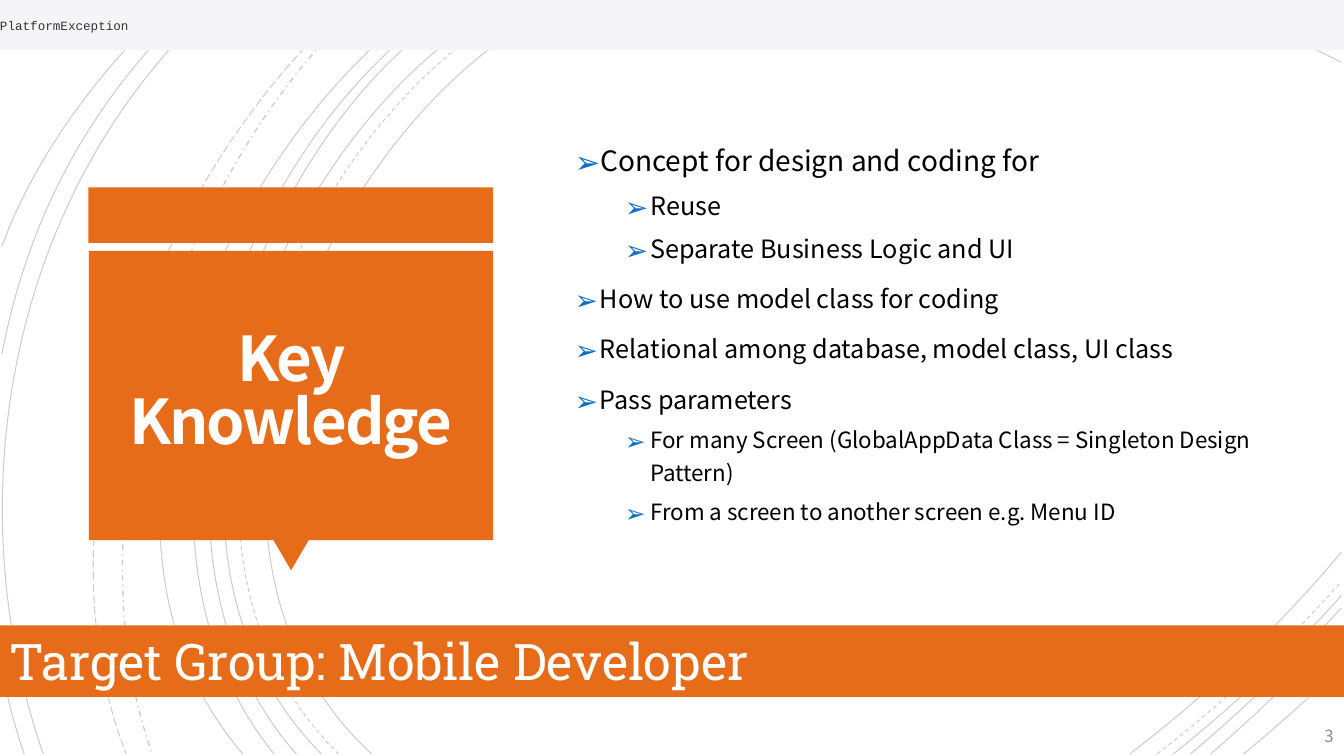
from dataclasses import dataclass

from lxml import etree
from pptx import Presentation
from pptx import util as u
from pptx.dml.color import RGBColor
from pptx.enum import dml, shapes, text
from pptx.oxml.ns import qn

Cm, Pt = u.Cm, u.Pt
DASH = dml.MSO_LINE
SHAPE = shapes.MSO_SHAPE
ALIGN, ANCHOR = text.PP_ALIGN, text.MSO_ANCHOR


@dataclass(frozen=True)
class Theme:
    orange: str = "E76C19"
    pale: str = "F5F5F7"
    white: str = "FFFFFF"
    title_white: str = "FFFEFF"
    black: str = "000000"
    code_grey: str = "333333"
    number_grey: str = "8C8C8C"
    bullet_blue: str = "0F6FC6"
    sans: str = "Noto Sans CJK JP"
    slab: str = "Roboto Slab"
    mono: str = "Courier New"
    title: int = 44
    footer: int = 36
    lead: int = 20
    point: int = 18
    detail: int = 16
    number: int = 12
    code: int = 9


T = Theme()
WIDTH, HEIGHT = 33.87, 19.05
ARC_BOTTOM, ARC_RIGHT = 19.0, 33.8


@dataclass(frozen=True)
class Box:
    left: float
    top: float
    width: float
    height: float

    def emu(self) -> list:
        return [Cm(v) for v in (self.left, self.top, self.width, self.height)]


@dataclass(frozen=True)
class Arc:
    start: tuple
    bend1: tuple
    bend2: tuple
    end: tuple
    dash: DASH = DASH.SOLID
    weight: float = 0.75


@dataclass(frozen=True)
class Bullet:
    words: str
    size: int = T.point
    level: int = 0


def sweep(x0: float, bend1: tuple, bend2: tuple, x1: float, *style) -> Arc:
    return Arc((x0, 0), bend1, bend2, (x1, ARC_BOTTOM), *style)


def top_corner(y0: float, bend1: tuple, bend2: tuple, x1: float, *style) -> Arc:
    return Arc((ARC_RIGHT, y0), bend1, bend2, (x1, 0.03), *style)


def low_corner(x0: float, bend1: tuple, bend2: tuple, y1: float, *style) -> Arc:
    return Arc((x0, ARC_BOTTOM), bend1, bend2, (ARC_RIGHT, y1), *style)


ARCS = [
    sweep(14.35, (8, 2.92), (3.63, 13.72), 9.37),
    top_corner(1.57, (32.46, 0.86), (30.94, 0.41), 29.51),
    low_corner(28.47, (30.4, 17.53), (32.23, 15.8), 13.92),
    sweep(13.34, (7.24, 3.18), (3.12, 13.64), 8.53, DASH.DASH),
    top_corner(1.04, (32.94, 0.64), (32, 0.3), 31.12, DASH.DASH),
    low_corner(29.16, (30.81, 17.73), (32.39, 16.26), 14.66, DASH.DASH),
    sweep(12.85, (6.86, 3.23), (2.79, 13.64), 8.1),
    top_corner(0.74, (33.2, 0.48), (32.59, 0.23), 31.95),
    low_corner(29.57, (31.06, 17.81), (32.51, 16.46), 15.01),
    sweep(11.79, (6.2, 3.38), (2.79, 13.74), 7.47),
    low_corner(30, (31.34, 17.88), (32.61, 16.64), 15.32),
    sweep(11.46, (5.87, 3.51), (2.46, 13.54), 6.91),
    low_corner(30.51, (31.65, 18.01), (32.77, 16.94), 15.82),
    sweep(10.85, (5.51, 3.73), (1.35, 13.44), 6.12),
    low_corner(31.34, (32.18, 18.31), (32.99, 17.58), 16.81),
    sweep(9.22, (4.47, 4.22), (1.65, 12.93), 3.84, DASH.DASH_DOT, 1),
    sweep(8.92, (3.99, 4.29), (0.74, 12.67), 3.18, DASH.LONG_DASH),
    sweep(5.51, (0.28, 4.7), (-1.17, 12.45), 1.09),
    Arc((4.95, 0.03), (2.34, 2.44), (0.71, 5.44), (0.05, 8.92)),
    Arc((0.03, 16.71), (0.15, 17.5), (0.36, 18.26), (0.61, ARC_BOTTOM)),
    Arc((4.37, 0), (2.54, 1.75), (0.94, 3.81), (0.05, 6.2)),
]

BULLETS = [
    Bullet("Concept for design and coding for", T.lead),
    Bullet("Reuse", level=1),
    Bullet("Separate Business Logic and UI", level=1),
    Bullet("How to use model class for coding"),
    Bullet("Relational among database, model class, UI class"),
    Bullet("Pass parameters"),
    Bullet("For many Screen (GlobalAppData Class = Singleton Design Pattern)", T.detail, 1),
    Bullet("From a screen to another screen e.g. Menu ID", T.detail, 1),
]


def draw_arc(s, arc: Arc) -> None:
    start, *rest = [tuple(map(Cm, pt)) for pt in (arc.start, arc.bend1, arc.bend2, arc.end)]
    fb = s.shapes.build_freeform(*start, scale=1.0)
    fb.add_line_segments(rest, close=False)
    sp = fb.convert_to_shape()
    # Turn the three segments into one cubic curve
    segments = list(sp._element.iter(qn("a:lnTo")))
    curve = etree.SubElement(segments[0].getparent(), qn("a:cubicBezTo"))
    for segment in segments:
        curve.append(segment[0])
        segment.getparent().remove(segment)
    sp.shadow.inherit = False
    sp.fill.background()
    sp.line.color.rgb = RGBColor.from_string(T.black)
    sp.line.width = Pt(arc.weight)
    sp.line.dash_style = arc.dash
    color = sp._element.spPr.find(qn("a:ln")).find(".//" + qn("a:srgbClr"))
    etree.SubElement(color, qn("a:alpha"), val="20000")


def draw_block(s, box: Box, fill: str, kind: SHAPE = SHAPE.RECTANGLE):
    sp = s.shapes.add_shape(kind, *box.emu())
    sp.shadow.inherit = False
    sp.fill.solid()
    sp.fill.fore_color.rgb = RGBColor.from_string(fill)
    sp.line.fill.background()
    return sp


def frame(sp, anchor: ANCHOR, insets: tuple = (0.25, 0.13, 0.25, 0.13)):
    tf = sp.text_frame
    tf.word_wrap = True
    tf.vertical_anchor = anchor
    tf.margin_left, tf.margin_top, tf.margin_right, tf.margin_bottom = map(Cm, insets)
    return tf


def add_run(p, words: str, font: str, size: int, color: str, align: ALIGN = ALIGN.LEFT):
    p.alignment = align
    r = p.add_run()
    r.text = words
    r.font.name, r.font.size = font, Pt(size)
    r.font.color.rgb = RGBColor.from_string(color)
    return r


def add_bullet(p, bullet: Bullet, first: bool) -> None:
    pPr = p._p.get_or_add_pPr()
    pPr.set("marL", str(Cm(0.64 + 1.27 * bullet.level)))
    pPr.set("indent", str(Cm(-0.64)))
    color = etree.SubElement(pPr, qn("a:buClr"))
    etree.SubElement(color, qn("a:srgbClr"), val=T.bullet_blue)
    etree.SubElement(pPr, qn("a:buSzPct"), val="110000")
    etree.SubElement(pPr, qn("a:buFont"), typeface=T.sans)
    etree.SubElement(pPr, qn("a:buChar"), char="➢")
    p.level = bullet.level
    p.line_spacing = 1.2
    p.space_before = Pt(0 if first else 5 if bullet.level else 10)
    add_run(p, bullet.words, T.sans, bullet.size, T.black)


def main() -> None:
    prs = Presentation()
    prs.slide_width, prs.slide_height = Cm(WIDTH), Cm(HEIGHT)
    s = prs.slides.add_slide(prs.slide_layouts[6])

    # Background arcs
    for arc in ARCS:
        draw_arc(s, arc)

    # Orange callout with the title
    draw_block(s, Box(2.23, 4.72, 10.2, 1.4), T.orange)
    draw_block(s, Box(6.89, 13.61, 0.89, 0.76), T.orange, SHAPE.ISOSCELES_TRIANGLE).rotation = 180
    draw_block(s, Box(2.24, 6.32, 10.19, 7.29), T.orange)
    sp = s.shapes.add_textbox(*Box(2.46, 6.52, 9.73, 6.83).emu())
    p = frame(sp, ANCHOR.MIDDLE, (0.64,) * 4).paragraphs[0]
    p.line_spacing = 0.85
    r = add_run(p, "Key Knowledge", T.sans, T.title, T.title_white, ALIGN.CENTER)
    r.font.bold = True
    r._r.get_or_add_rPr().set("spc", "-150")

    # Bulleted topics
    sp = s.shapes.add_textbox(*Box(14.23, 2.24, 19.65, 14.58).emu())
    tf = frame(sp, ANCHOR.MIDDLE, (0.25, 0.13, 0.25, 2.52))
    for i, bullet in enumerate(BULLETS):
        add_bullet(tf.add_paragraph() if i else tf.paragraphs[0], bullet, i == 0)

    # Slide number
    sp = s.shapes.add_textbox(*Box(31.32, 18.1, 2.54, 0.89).emu())
    p = frame(sp, ANCHOR.MIDDLE).paragraphs[0]
    add_run(p, "3", T.sans, T.number, T.number_grey, ALIGN.RIGHT)

    # Target group band and code strip
    sp = draw_block(s, Box(0, 15.76, WIDTH, 1.8), T.orange)
    p = frame(sp, ANCHOR.TOP).paragraphs[0]
    add_run(p, "Target Group: Mobile Developer", T.slab, T.footer, T.white)
    sp = draw_block(s, Box(0, 0, WIDTH, 1.27), T.pale)
    p = frame(sp, ANCHOR.MIDDLE, (0,) * 4).paragraphs[0]
    add_run(p, "PlatformException", T.mono, T.code, T.code_grey)

    prs.save("out.pptx")


if __name__ == "__main__":
    main()
